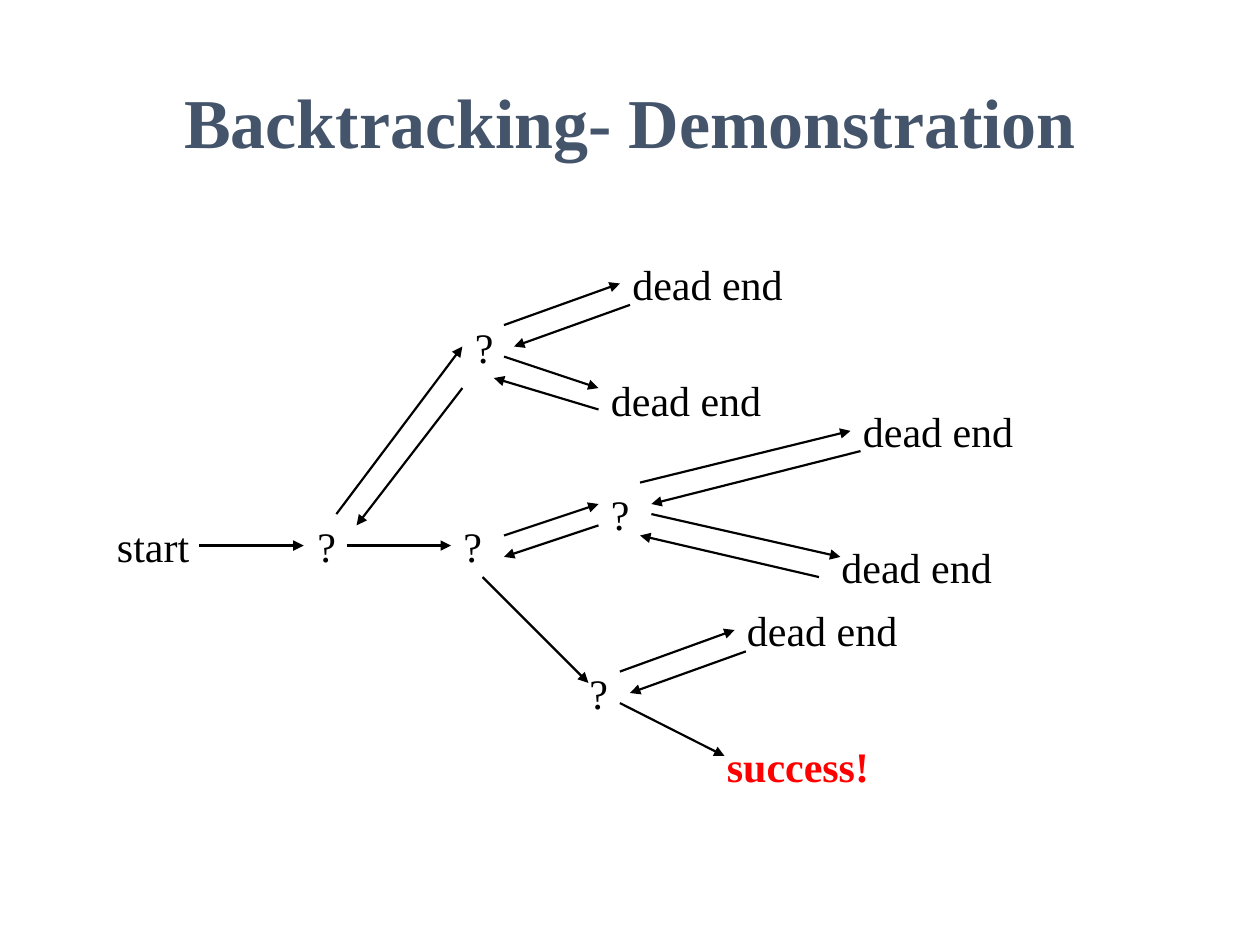
from lxml.etree import SubElement
from pptx import Presentation
from pptx.dml.color import RGBColor
from pptx.enum.shapes import MSO_CONNECTOR
from pptx.enum.text import MSO_ANCHOR, PP_ALIGN
from pptx.oxml.ns import qn
from pptx.util import Inches, Pt

BLACK = RGBColor(0x00, 0x00, 0x00)
RED = RGBColor(0xFF, 0x00, 0x00)
SLATE = RGBColor(0x44, 0x54, 0x6A)
FONT = "Times New Roman"
LABEL_HEIGHT = 0.5

# Content: labels as (text, left, top, width)
TITLE = "Backtracking- Demonstration"
START = ("start", 0.83, 4.08, 0.83)
SUCCESS = ("success!", 5.67, 5.83, 1.75)
CHOICES = [(2.42, 4.08), (3.67, 2.5), (3.58, 4.08), (4.75, 3.83), (4.58, 5.25)]
DEAD_ENDS = [(4.92, 2), (4.75, 2.92), (6.75, 3.17), (6.58, 4.25), (5.83, 4.75)]

# Arrows as (from, to)
FORWARD_ONLY = [
    ((1.58, 4.33), (2.41, 4.33)),
    ((2.75, 4.33), (3.58, 4.33)),
    ((3.83, 4.58), (4.67, 5.42)),
    ((4.92, 5.58), (5.75, 6)),
]
# Each try is followed by its way back
TRY_AND_RETURN = [
    (((2.67, 4.08), (3.67, 2.75)), ((3.67, 3.08), (2.83, 4.17))),
    (((4, 2.58), (4.92, 2.25)), ((5, 2.42), (4.08, 2.75))),
    (((4, 2.83), (4.75, 3.08)), ((4.75, 3.25), (3.92, 3))),
    (((4, 4.25), (4.75, 4)), ((4.75, 4.17), (4, 4.42))),
    (((5.08, 3.83), (6.75, 3.42)), ((6.83, 3.58), (5.17, 4))),
    (((5.17, 4.08), (6.67, 4.42)), ((6.5, 4.58), (5.08, 4.25))),
    (((4.92, 5.33), (5.83, 5)), ((5.92, 5.17), (5, 5.5))),
]


def write_text(shape, text, size=24, color=BLACK, bold=False,
               align=PP_ALIGN.LEFT, anchor=MSO_ANCHOR.TOP):
    frame = shape.text_frame
    frame.word_wrap = True
    frame.vertical_anchor = anchor
    paragraph = frame.paragraphs[0]
    paragraph.alignment = align
    run = paragraph.add_run()
    run.text = text
    run.font.name = FONT
    run.font.size = Pt(size)
    run.font.bold = bold
    run.font.color.rgb = color


def add_label(slide, text, left, top, width, **text_format):
    box = slide.shapes.add_textbox(Inches(left), Inches(top),
                                   Inches(width), Inches(LABEL_HEIGHT))
    write_text(box, text, **text_format)


def add_arrow(slide, start, end):
    points = [Inches(value) for value in (*start, *end)]
    arrow = slide.shapes.add_connector(MSO_CONNECTOR.STRAIGHT, *points)
    arrow.line.color.rgb = BLACK
    arrow.line.width = Pt(1.25)
    SubElement(arrow.line._get_or_add_ln(), qn("a:tailEnd"),
               type="triangle", w="med", len="med")
    SubElement(arrow._element.spPr, qn("a:effectLst"))


def main():
    presentation = Presentation()
    presentation.slide_width = Inches(10)
    presentation.slide_height = Inches(7.5)
    slide = presentation.slides.add_slide(presentation.slide_layouts[5])

    # Title
    title = slide.shapes.title
    title.left, title.top = Inches(0.75), Inches(0.33)
    title.width, title.height = Inches(8.5), Inches(1.25)
    write_text(title, TITLE, size=40, color=SLATE, bold=True,
               align=PP_ALIGN.CENTER, anchor=MSO_ANCHOR.MIDDLE)

    # Search tree labels
    add_label(slide, *START)
    for left, top in CHOICES:
        add_label(slide, "?", left, top, 0.5)
    for left, top in DEAD_ENDS:
        add_label(slide, "dead end", left, top, 1.75)
    add_label(slide, *SUCCESS, color=RED, bold=True)

    # Arrows
    for start, end in FORWARD_ONLY:
        add_arrow(slide, start, end)
    for pair in TRY_AND_RETURN:
        for start, end in pair:
            add_arrow(slide, start, end)

    presentation.save("out.pptx")


if __name__ == "__main__":
    main()
